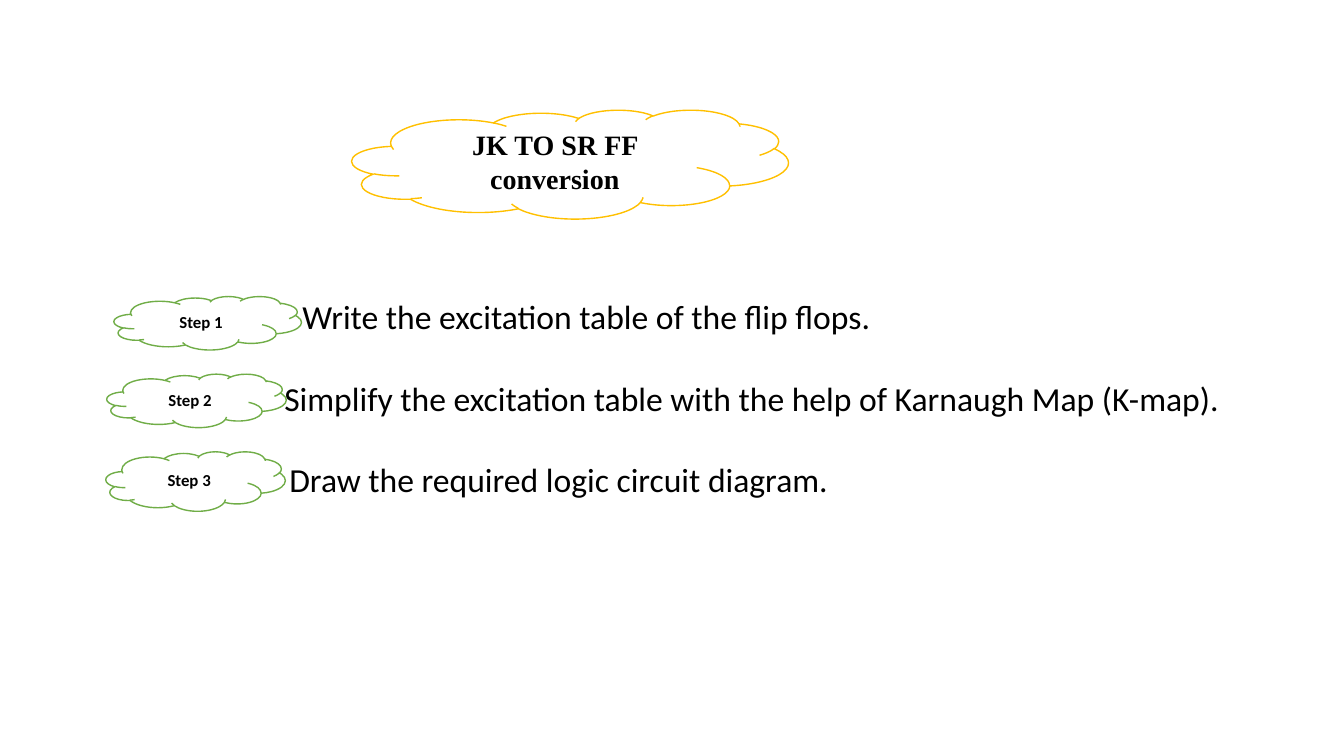
from dataclasses import dataclass

from lxml.etree import SubElement
from pptx import Presentation
from pptx.dml.color import RGBColor
from pptx.enum.shapes import MSO_SHAPE as Preset
from pptx.enum.text import MSO_ANCHOR as Anchor, MSO_AUTO_SIZE as AutoSize, PP_ALIGN as Align
from pptx.oxml.ns import qn
from pptx.util import Inches, Pt

SLIDE_WIDTH, SLIDE_HEIGHT = Inches(13.33), Inches(7.5)
COLUMN, ROW = SLIDE_WIDTH / 100, SLIDE_HEIGHT / 100


@dataclass(frozen=True)
class Theme:
    """Colours, fonts and type sizes of the slide."""
    paper: RGBColor = RGBColor.from_string("FFFFFF")
    ink: RGBColor = RGBColor.from_string("000000")
    gold: RGBColor = RGBColor.from_string("FFC000")
    green: RGBColor = RGBColor.from_string("70AD47")
    title_font: str = "Times New Roman"
    body_font: str = "Calibri"
    title_size: int = 20
    body_size: int = 24
    step_size: int = 12
    step_gap: float = 29.3


@dataclass(frozen=True)
class Box:
    """An area in columns and rows of a 100 by 100 grid."""
    left: float
    top: float
    width: float
    height: float

    def inside(self, left, top, width, height):
        """Return a box offset from this one's top left corner."""
        return Box(self.left + left, self.top + top, width, height)

    def lengths(self):
        """Return left, top, width and height as slide lengths."""
        return (round(self.left * COLUMN), round(self.top * ROW),
                round(self.width * COLUMN), round(self.height * ROW))


THEME = Theme()
STEPS = [
    ("Step 1", "Write the excitation table of the flip flops.", (0.6, 13.95, 7.07), 3.75),
    ("Step 2", "Simplify the excitation table with the help of Karnaugh Map (K-map).",
     (0.07, 13.35, 7.07), 2.4),
    ("Step 3", "Draw the required logic circuit diagram.", (0, 13.35, 7.87), 2.78),
]


def style_font(paragraph, name, size, bold=False):
    """Set the font of a paragraph's runs."""
    for run in paragraph.runs:
        run.font.name, run.font.size, run.font.bold = name, Pt(size), bold
        run.font.color.rgb = THEME.ink


def place(shape, box):
    """Move a placeholder to a box."""
    shape.left, shape.top, shape.width, shape.height = box.lengths()


def add_cloud(slide, box, colour):
    """Add a white cloud with a thin coloured outline."""
    cloud = slide.shapes.add_shape(Preset.CLOUD, *box.lengths())
    cloud.shadow.inherit = False
    cloud.fill.solid()
    cloud.fill.fore_color.rgb = THEME.paper
    cloud.line.color.rgb = colour
    cloud.line.width = Pt(1)
    return cloud


def add_heading(slide, box):
    """Set the title over the text area of a gold cloud."""
    add_cloud(slide, box, THEME.gold)
    title = slide.shapes.title
    slide.shapes.element.append(title.element)
    place(title, box.inside(box.width * 0.14, box.height * 0.15,
                            box.width * 0.65, box.height * 0.65))
    frame = title.text_frame
    frame.text = "JK TO SR FF conversion"
    frame.word_wrap, frame.auto_size = True, AutoSize.NONE
    frame.vertical_anchor = Anchor.MIDDLE
    frame.paragraphs[0].alignment = Align.CENTER
    style_font(frame.paragraphs[0], THEME.title_font, THEME.title_size, bold=True)


def add_steps(slide, box):
    """List the steps, each labelled by a green cloud at its left."""
    body = slide.placeholders[1]
    place(body, box.inside(10.12, 0, box.width - 10.12, box.height))
    frame = body.text_frame
    frame.text = "\n".join(sentence for _, sentence, _, _ in STEPS)
    frame.word_wrap, frame.auto_size = True, AutoSize.NONE
    frame.vertical_anchor = Anchor.TOP
    for index, (label, _, (left, width, height), margin) in enumerate(STEPS):
        paragraph = frame.paragraphs[index]
        properties = paragraph._p.get_or_add_pPr()
        properties.set("marL", str(round(margin * COLUMN)))
        properties.set("indent", "0")
        SubElement(properties, qn("a:buNone"))
        paragraph.space_before = Pt(THEME.step_gap if index else 0)
        style_font(paragraph, THEME.body_font, THEME.body_size)

        cloud = add_cloud(slide, box.inside(left, 0.67 + 10.27 * index, width, height),
                          THEME.green)
        cloud.text_frame.text = label
        cloud.text_frame.word_wrap = True
        cloud.text_frame.vertical_anchor = Anchor.MIDDLE
        caption = cloud.text_frame.paragraphs[0]
        caption.alignment = Align.CENTER
        style_font(caption, THEME.body_font, THEME.step_size, bold=True)


def main():
    """Build and save the slide."""
    presentation = Presentation()
    presentation.slide_width, presentation.slide_height = SLIDE_WIDTH, SLIDE_HEIGHT
    slide = presentation.slides.add_slide(presentation.slide_layouts[1])
    add_heading(slide, Box(26.18, 14.53, 32.48, 14.4))
    add_steps(slide, Box(7.88, 38.53, 91.35, 28.27))
    presentation.save("out.pptx")


if __name__ == "__main__":
    main()
